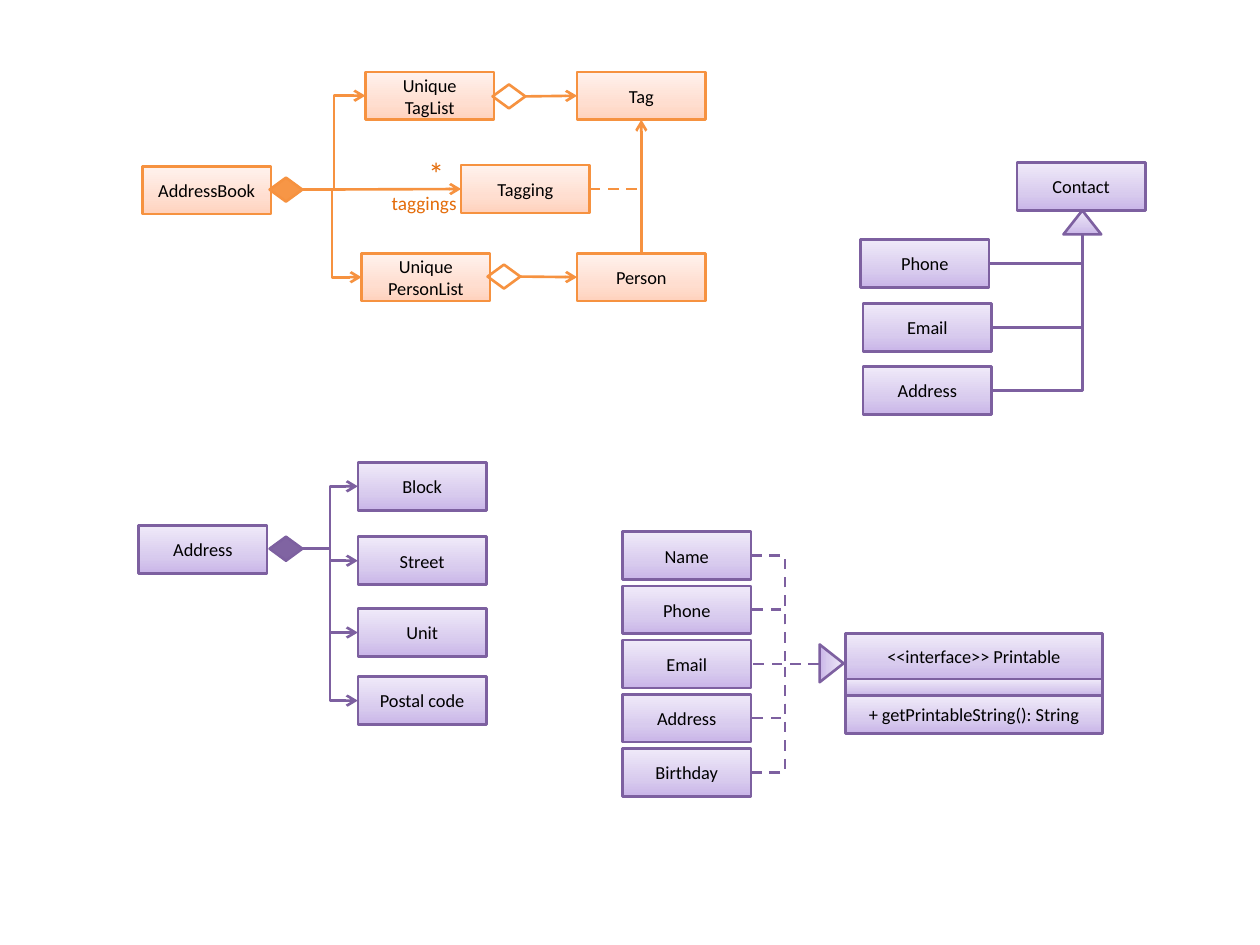
"""Builds a slide of four class diagrams: address book, contact, address and printable."""
from copy import deepcopy
from dataclasses import dataclass

from lxml import etree
from pptx import Presentation
from pptx.dml.color import RGBColor
from pptx.enum.dml import MSO_LINE
from pptx.enum.shapes import MSO_CONNECTOR, MSO_SHAPE
from pptx.enum.text import MSO_ANCHOR, MSO_AUTO_SIZE, PP_ALIGN
from pptx.oxml.ns import qn
from pptx.util import Inches, Pt

RECTANGLE = MSO_SHAPE.RECTANGLE
DIAMOND = MSO_SHAPE.FLOWCHART_DECISION
TRIANGLE = MSO_SHAPE.ISOSCELES_TRIANGLE
STRAIGHT, ELBOW = MSO_CONNECTOR.STRAIGHT, MSO_CONNECTOR.ELBOW
DASH = MSO_LINE.DASH
CENTER, MIDDLE = PP_ALIGN.CENTER, MSO_ANCHOR.MIDDLE
GROW = MSO_AUTO_SIZE.SHAPE_TO_FIT_TEXT
TOP, LEFT, BOTTOM, RIGHT = range(4)


@dataclass(frozen=True)
class Palette:
    line: str
    solid: str
    stops: tuple


@dataclass(frozen=True)
class Theme:
    purple: Palette = Palette("7D60A0", "8064A2", ("C9B5E8", "D8CBEE", "F0EAF9"))
    orange: Palette = Palette("F69240", "F79646", ("FFD2BD", "FFDED0", "FFF2ED"))
    stop_positions: tuple = (0, 0.35, 1)
    text: str = "000000"
    label: str = "E46C0A"
    font: str = "Calibri"
    box_size: float = 10.5
    label_size: float = 11
    star_size: float = 18
    line_width: float = 1.5


class Diagram:
    def __init__(self, slide, theme):
        self.shapes = slide.shapes
        self.theme = theme
        self.palette = theme.purple

    def set_text(self, frame, text, size, color):
        frame.text = text
        for run in frame.paragraphs[0].runs:
            run.font.name = self.theme.font
            run.font.size = Pt(size)
            run.font.color.rgb = RGBColor.from_string(color)

    def stroke(self, line):
        line.color.rgb = RGBColor.from_string(self.palette.line)
        line.width = Pt(self.theme.line_width)

    def figure(self, kind, x, y, width, height):
        shape = self.shapes.add_shape(kind, Inches(x), Inches(y), Inches(width), Inches(height))
        shape.shadow.inherit = False
        self.stroke(shape.line)
        return shape

    def shade(self, shape):
        shape.fill.gradient()
        shape.fill.gradient_angle = 90
        stop_list = shape._element.spPr.find(qn("a:gradFill")).find(qn("a:gsLst"))
        stop_list.insert(1, deepcopy(stop_list[0]))
        stops = zip(shape.fill.gradient_stops, self.theme.stop_positions, self.palette.stops)
        for stop, position, color in stops:
            stop.position = position
            stop.color.rgb = RGBColor.from_string(color)

    def box(self, text, x, y, width=1.02, height=0.38):
        shape = self.figure(RECTANGLE, x, y, width, height)
        self.shade(shape)
        if text:
            frame = shape.text_frame
            frame.word_wrap = True
            frame.vertical_anchor = MIDDLE
            self.set_text(frame, text, self.theme.box_size, self.theme.text)
            frame.paragraphs[0].alignment = CENTER
        return shape

    def diamond(self, x, y, filled=False):
        shape = self.figure(DIAMOND, x, y, 0.26, 0.19)
        if filled:
            shape.fill.solid()
            shape.fill.fore_color.rgb = RGBColor.from_string(self.palette.solid)
        else:
            shape.fill.background()
        return shape

    def triangle(self, x, y, rotation=0):
        shape = self.figure(TRIANGLE, x, y, 0.3, 0.19)
        self.shade(shape)
        shape.rotation = rotation

    def label(self, text, x, y, width, height, size, side_margin):
        frame = self.shapes.add_textbox(
            Inches(x), Inches(y), Inches(width), Inches(height)).text_frame
        frame.word_wrap = True
        frame.auto_size = GROW
        frame.margin_left = frame.margin_right = Inches(side_margin)
        self.set_text(frame, text, size, self.theme.label)

    def link(self, kind, start, end, arrow=False, dashed=False, bend=None):
        connector = self.shapes.add_connector(kind, 0, 0, 0, 0)
        if isinstance(start[0], float):
            connector.begin_x, connector.begin_y = map(Inches, start)
        else:
            connector.begin_connect(*start)
        if isinstance(end[0], float):
            connector.end_x, connector.end_y = map(Inches, end)
        else:
            connector.end_connect(*end)
        self.stroke(connector.line)
        if dashed:
            connector.line.dash_style = DASH
        properties = connector._element.spPr
        if arrow:
            etree.SubElement(properties.find(qn("a:ln")), qn("a:tailEnd"), type="arrow")
        if bend is not None:
            guides = properties.find(qn("a:prstGeom")).find(qn("a:avLst"))
            etree.SubElement(guides, qn("a:gd"), name="adj1", fmla=f"val {bend * 100000:.0f}")
        etree.SubElement(properties, qn("a:effectLst"))


def draw_address(diagram):
    diagram.box("Address", 1.1, 4.17)
    owner = diagram.diamond(2.14, 4.26, filled=True)
    parts = (("Block", 3.67), ("Street", 4.26), ("Unit", 4.83), ("Postal code", 5.37))
    for name, y in parts:
        diagram.link(ELBOW, (owner, RIGHT), (diagram.box(name, 2.84, y), LEFT), arrow=True)


def draw_contact(diagram):
    diagram.box("Contact", 8.07, 1.29)
    diagram.triangle(8.44, 1.67)
    for name, x, y in (("Phone", 6.83, 1.9), ("Email", 6.85, 2.41), ("Address", 6.85, 2.91)):
        diagram.link(ELBOW, (diagram.box(name, x, y), RIGHT), (8.59, 1.86), bend=1)


def draw_printable(diagram):
    compartments = (("<<interface>> Printable", 5.03, 0.36), ("", 5.39, 0.13),
                    ("+ getPrintableString(): String", 5.52, 0.3))
    for text, y, height in compartments:
        diagram.box(text, 6.71, y, 2.04, height)
    diagram.triangle(6.45, 5.17, rotation=90)
    for row, name in enumerate(("Name", "Phone", "Email", "Address", "Birthday")):
        field = diagram.box(name, 4.94, 4.22 + 0.43 * row)
        kind = STRAIGHT if name == "Email" else ELBOW
        diagram.link(kind, (6.5, 5.27), (field, RIGHT), dashed=True)


def draw_address_book(diagram):
    diagram.box("AddressBook", 1.13, 1.32)
    tag_list = diagram.box("Unique\vTagList", 2.9, 0.57)
    person_list = diagram.box("Unique\vPersonList", 2.87, 2.01)
    tagging = diagram.box("Tagging", 3.66, 1.31)
    tag = diagram.box("Tag", 4.58, 0.57)
    person = diagram.box("Person", 4.58, 2.01)
    owner = diagram.diamond(2.14, 1.41, filled=True)
    tag_holder = diagram.diamond(3.91, 0.67)
    person_holder = diagram.diamond(3.87, 2.1)
    for kind, source, target in ((ELBOW, owner, tag_list), (ELBOW, owner, person_list),
                                 (STRAIGHT, owner, tagging), (STRAIGHT, tag_holder, tag),
                                 (STRAIGHT, person_holder, person)):
        diagram.link(kind, (source, RIGHT), (target, LEFT), arrow=True)
    diagram.link(STRAIGHT, (person, TOP), (tag, BOTTOM), arrow=True)
    diagram.link(STRAIGHT, (tagging, RIGHT), (5.09, 1.5), dashed=True)
    diagram.label("*", 3.4, 1.17, 0.1, 0.4, diagram.theme.star_size, 0)
    diagram.label("taggings", 3.01, 1.47, 0.85, 0.29, diagram.theme.label_size, 0.1)


def main():
    presentation = Presentation()
    presentation.slide_width, presentation.slide_height = Inches(10), Inches(7.5)
    slide = presentation.slides.add_slide(presentation.slide_layouts[6])
    diagram = Diagram(slide, Theme())
    draw_address(diagram)
    draw_contact(diagram)
    draw_printable(diagram)
    diagram.palette = diagram.theme.orange
    draw_address_book(diagram)
    presentation.save("out.pptx")


if __name__ == "__main__":
    main()
